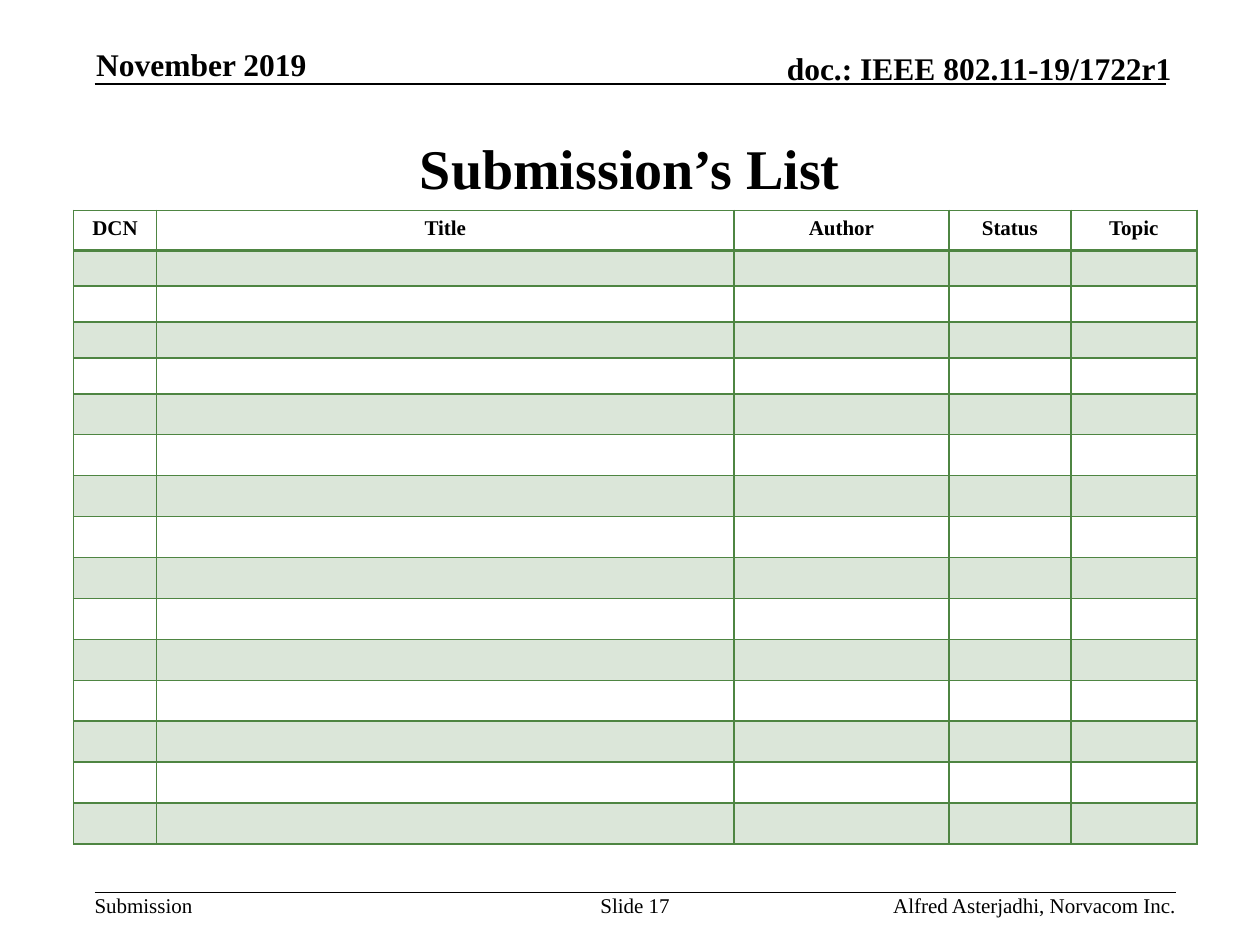
import lxml.etree
import pptx
import pptx.dml.color
import pptx.enum.shapes
import pptx.enum.text
import pptx.oxml.ns
import pptx.util

Pt = pptx.util.Pt
qn = pptx.oxml.ns.qn
ALIGN = pptx.enum.text.PP_ALIGN
ANCHOR = pptx.enum.text.MSO_ANCHOR

BLACK = pptx.dml.color.RGBColor(0x00, 0x00, 0x00)
GREEN = pptx.dml.color.RGBColor(0x4E, 0x85, 0x42)
FONT = "Times New Roman"

HEADINGS = ["DCN", "Title", "Author", "Status", "Topic"]
COLUMN_WIDTHS = [47.5, 330, 122.7, 69.8, 72]
ROW_HEIGHTS = [22.9] + [20.5] * 4 + [23.4] * 11


class SlideBuilder:
    def __init__(self, page):
        self.page = page

    def style(self, frame, size, bold, align):
        for para in frame.paragraphs:
            para.alignment = align
            for span in para.runs:
                span.font.name = FONT
                span.font.size = Pt(size)
                span.font.bold = bold
                span.font.color.rgb = BLACK

    def place(self, shape, left, top, width, height):
        shape.left, shape.top = Pt(left), Pt(top)
        shape.width, shape.height = Pt(width), Pt(height)

    def title(self, text, left, top, width, height):
        box = self.page.shapes.title
        self.place(box, left, top, width, height)
        frame = box.text_frame
        frame.text = text
        frame.vertical_anchor = ANCHOR.MIDDLE
        self.style(frame, 32, True, ALIGN.CENTER)

    def text(self, text, left, top, width, height, size=12, bold=False,
             align=ALIGN.LEFT, anchor=ANCHOR.TOP, wrap=True):
        box = self.page.shapes.add_textbox(
            Pt(left), Pt(top), Pt(width), Pt(height))
        frame = box.text_frame
        frame.margin_left = frame.margin_right = 0
        frame.margin_top = frame.margin_bottom = 0
        frame.word_wrap = wrap
        frame.vertical_anchor = anchor
        frame.text = text
        self.style(frame, size, bold, align)

    def rule(self, left, right, top):
        line = self.page.shapes.add_connector(
            pptx.enum.shapes.MSO_CONNECTOR.STRAIGHT,
            Pt(left), Pt(top), Pt(right), Pt(top))
        line.line.color.rgb = BLACK
        line.line.width = Pt(1)
        lxml.etree.SubElement(line._element.spPr, qn("a:effectLst"))

    def borders(self, cell, top, bottom):
        """Draw the four green edges; top and bottom are widths in points."""
        properties = cell._tc.get_or_add_tcPr()
        for side, width in (("L", 1), ("R", 1), ("T", top), ("B", bottom)):
            edge = lxml.etree.SubElement(
                properties, qn("a:ln" + side), w=str(Pt(width)))
            fill = lxml.etree.SubElement(edge, qn("a:solidFill"))
            lxml.etree.SubElement(fill, qn("a:srgbClr"), val=str(GREEN))

    def shade(self, cell, percent):
        cell.fill.solid()
        cell.fill.fore_color.rgb = GREEN
        colour = cell._tc.tcPr.find(
            qn("a:solidFill") + "/" + qn("a:srgbClr"))
        lxml.etree.SubElement(colour, qn("a:alpha"), val=str(percent * 1000))

    def table(self, left, top, headings, widths, heights):
        """Add a table with a heading row above empty banded rows."""
        table = self.page.shapes.add_table(
            len(heights), len(widths), Pt(left), Pt(top),
            Pt(sum(widths)), Pt(sum(heights))).table
        table.first_row = table.horz_banding = False
        for column, width in zip(table.columns, widths):
            column.width = Pt(width)
        for index, (row, height) in enumerate(zip(table.rows, heights)):
            row.height = Pt(height)
            for heading, cell in zip(headings, row.cells):
                cell.margin_top = Pt(3.6)
                cell.margin_bottom = 0
                self.borders(cell, 2 if index == 1 else 1,
                             2 if index == 0 else 1)
                if index % 2:
                    self.shade(cell, 20)
                else:
                    cell.fill.background()
                if index == 0:
                    cell.text_frame.text = heading
                    self.style(cell.text_frame, 12, True, ALIGN.CENTER)
                else:
                    # An empty cell takes its line height from this mark.
                    para = cell.text_frame.paragraphs[0]
                    lxml.etree.SubElement(
                        para._p, qn("a:endParaRPr"), sz="1200")


def main():
    deck = pptx.Presentation()
    deck.slide_width, deck.slide_height = Pt(720), Pt(540)
    builder = SlideBuilder(deck.slides.add_slide(deck.slide_layouts[5]))

    header = dict(size=18, bold=True, anchor=ANCHOR.BOTTOM)
    builder.rule(54, 666, 48.2)
    builder.text("November 2019", 55, 25.9, 147.6, 21.6, **header)
    builder.text("doc.: IEEE 802.11-19/1722r1", 393.8, 28, 275.8, 21.6,
                 align=ALIGN.RIGHT, **header)

    builder.title("Submission’s List", 54, 54, 612, 83.5)
    builder.table(42, 120.2, HEADINGS, COLUMN_WIDTHS, ROW_HEIGHTS)

    footer_top = 510
    builder.rule(54, 672, footer_top)
    builder.text("Submission", 54, footer_top, 56, 14.4, wrap=False)
    builder.text("Slide 17", 342, footer_top, 41.8, 28.8, align=ALIGN.CENTER)
    builder.text("Alfred Asterjadhi, Norvacom Inc.", 422, footer_top, 250,
                 14.4, align=ALIGN.RIGHT)

    deck.save("out.pptx")


if __name__ == "__main__":
    main()
